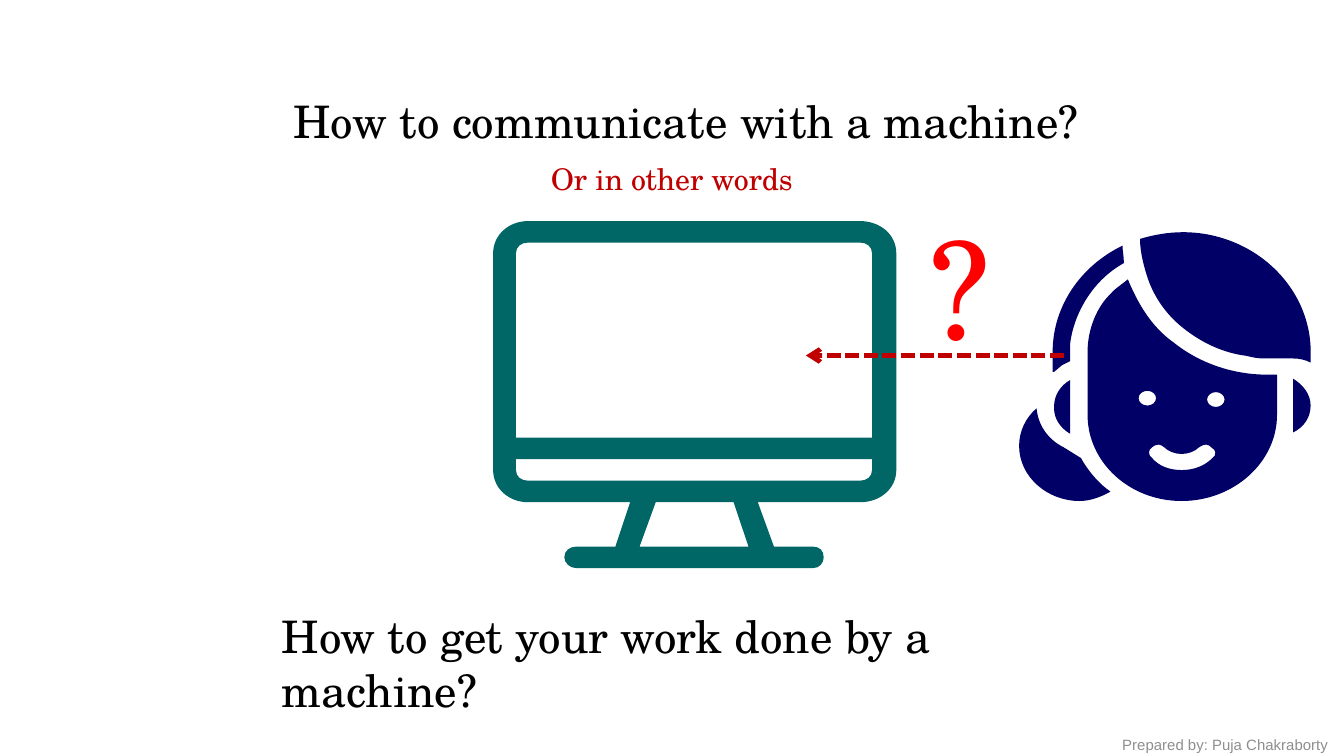
from lxml import etree
from pptx import Presentation
from pptx.dml.color import RGBColor
from pptx.enum.dml import MSO_LINE
from pptx.enum.shapes import MSO_CONNECTOR
from pptx.enum.text import MSO_AUTO_SIZE
from pptx.oxml.ns import qn
from pptx.util import Cm, Pt

STRAIGHT = MSO_CONNECTOR.STRAIGHT
DASH = MSO_LINE.SQUARE_DOT
GROW = MSO_AUTO_SIZE.SHAPE_TO_FIT_TEXT
SERIF, SANS = "TeX Gyre Schola", "Arial"
COLORS = {
    "text": "000000",
    "accent": "C00000",
    "question": "FF0000",
    "monitor": "006666",
    "girl": "000066",
    "credit": "8E8E8E",
}

# Each drawing has its own grid, which is stretched over its box.
# A contour is a start point, then lines (x, y) and cubic curves (six numbers).
MONITOR_GRID = (300, 258)
SCREEN = [(273, 16), (278, 16, 282, 19, 282, 24), (282, 161), (17, 161),
          (17, 24), (17, 19, 21, 16, 26, 16)]
STRIP = [(282, 177), (282, 185), (282, 190, 278, 193, 273, 193), (26, 193),
         (21, 193, 17, 190, 17, 185), (17, 177)]
LEG_GAP = [(179, 209), (190, 242), (109, 242), (121, 209)]
SILHOUETTE = [(26, 0), (12, 0, 0, 10, 0, 24), (0, 185),
              (0, 199, 12, 209, 26, 209), (102, 209), (91, 242), (62, 242),
              (57, 242, 53, 245, 53, 250), (53, 254, 57, 258, 62, 258),
              (238, 258), (243, 258, 246, 254, 246, 250),
              (246, 245, 243, 242, 238, 242), (209, 242), (197, 209),
              (273, 209), (288, 209, 300, 199, 300, 185), (300, 24),
              (300, 10, 288, 0, 273, 0)]

GIRL_GRID = (217, 200)
EAR_LEFT = [(38, 110), (31, 114, 26, 121, 26, 130), (26, 131),
            (26, 139, 31, 146, 38, 150)]
BUN = [(13, 131), (5, 138, 0, 148, 0, 159), (0, 182, 21, 200, 45, 200),
       (53, 200, 61, 197, 68, 193), (59, 187, 51, 177, 46, 168),
       (33, 160), (21, 154, 14, 143, 13, 131)]
FACE = [(81, 35), (79, 37, 70, 43, 69, 45), (58, 55, 51, 72, 51, 89),
        (51, 136), (51, 171, 82, 200, 121, 200),
        (160, 200, 192, 171, 192, 136), (192, 106), (185, 106),
        (160, 106, 135, 98, 115, 82), (98, 70, 88, 52, 81, 35)]
MOUTH = [(139, 158), (141, 158, 142, 159, 143, 160),
         (147, 162, 147, 166, 144, 168), (138, 174, 130, 177, 121, 177),
         (112, 177, 104, 174, 99, 168), (96, 166, 96, 162, 99, 160),
         (100, 159, 102, 158, 104, 158), (105, 158, 107, 159, 108, 160),
         (111, 163, 116, 165, 121, 165), (126, 165, 131, 163, 134, 160),
         (136, 159, 137, 158, 139, 158)]
EAR_RIGHT = [(204, 109), (204, 149), (212, 145, 217, 138, 217, 129),
             (217, 121, 212, 114, 204, 109)]
FRINGE = [(122, 0), (111, 0, 100, 2, 90, 5), (90, 15, 93, 26, 96, 35),
          (101, 49, 110, 62, 123, 72), (137, 83, 153, 90, 169, 92),
          (177, 94, 180, 94, 184, 94), (204, 94),
          (209, 94, 213, 95, 217, 97), (217, 89),
          (217, 40, 174, 0, 122, 0)]
SIDE_HAIR = [(77, 10), (46, 25, 25, 55, 25, 89), (25, 104), (26, 104),
             (28, 102, 30, 101, 32, 99), (38, 96), (38, 83),
             (41, 59, 56, 35, 78, 23), (78, 18, 77, 14, 77, 10)]


def ellipse(x, y, rx, ry):
    """Contour of four curves around a centre."""
    a, b = rx * 0.55, ry * 0.55
    return [(x, y - ry),
            (x + a, y - ry, x + rx, y - b, x + rx, y),
            (x + rx, y + b, x + a, y + ry, x, y + ry),
            (x - a, y + ry, x - rx, y + b, x - rx, y),
            (x - rx, y - b, x - a, y - ry, x, y - ry)]


def add_outline(shapes, box, grid, contours, color):
    left, top, width, height = box

    def place(segment):
        """Slide positions of all the points of a segment."""
        return [(round(left + x * width / grid[0]),
                 round(top + y * height / grid[1]))
                for x, y in zip(segment[::2], segment[1::2])]

    builder = None
    segments = []
    for contour in contours:
        start, *rest = [place(segment) for segment in contour]
        if builder is None:
            builder = shapes.build_freeform(*start[0])
        else:
            builder.move_to(*start[0])
        builder.add_line_segments([points[-1] for points in rest], close=True)
        segments += rest
    shape = builder.convert_to_shape()

    # Bend the segments that have control points
    lines = list(shape.element.iter(qn("a:lnTo")))
    for line, points in zip(lines, segments):
        if len(points) == 1:
            continue
        curve = etree.Element(qn("a:cubicBezTo"))
        for x, y in points:
            etree.SubElement(curve, qn("a:pt"),
                             x=str(x - shape.left), y=str(y - shape.top))
        line.getparent().replace(line, curve)

    shape.shadow.inherit = False
    shape.fill.solid()
    shape.fill.fore_color.rgb = RGBColor.from_string(COLORS[color])
    shape.line.fill.background()


def add_text(slide, box, text, size, color, font=SERIF):
    frame = slide.shapes.add_textbox(*box).text_frame
    frame.word_wrap = True
    frame.auto_size = GROW
    run = frame.paragraphs[0].add_run()
    run.text = text
    run.font.size = Pt(size)
    run.font.name = font
    run.font.color.rgb = RGBColor.from_string(COLORS[color])


def add_monitor(slide, box):
    add_outline(slide.shapes, box, MONITOR_GRID,
                [SCREEN, STRIP, LEG_GAP, SILHOUETTE], "monitor")


def add_girl(slide, box):
    eyes = [ellipse(x, y, 6.5, 5.5) for x, y in ((95.5, 123.5), (146.5, 124.5))]
    group = slide.shapes.add_group_shape()
    for contours in ([EAR_LEFT], [BUN], [*eyes, MOUTH, FACE],
                     [EAR_RIGHT], [FRINGE], [SIDE_HAIR]):
        add_outline(group.shapes, box, GIRL_GRID, contours, "girl")


def add_question(slide, box):
    """Dashed arrow pointing left, with a question mark above it."""
    left, top, width, height = box
    arrow_y = top + height
    arrow = slide.shapes.add_connector(
        STRAIGHT, left + width, arrow_y, left, arrow_y)
    arrow.line.color.rgb = RGBColor.from_string(COLORS["accent"])
    arrow.line.width = Pt(2.5)
    arrow.line.dash_style = DASH
    properties = arrow.element.spPr
    etree.SubElement(properties.find(qn("a:ln")), qn("a:tailEnd"), type="arrow")
    etree.SubElement(properties, qn("a:effectLst"))
    add_text(slide, (left + Cm(2.11), top, Cm(1.9), Cm(3.33)),
             "?", 72, "question")


def main():
    presentation = Presentation()
    presentation.slide_width, presentation.slide_height = Cm(25.4), Cm(14.29)
    slide = presentation.slides.add_slide(presentation.slide_layouts[6])

    # Monitor, credit and title
    add_monitor(slide, (Cm(9.32), Cm(4.18), Cm(7.62), Cm(6.56)))
    add_text(slide, (Cm(20.96), Cm(13.78), Cm(4.65), Cm(0.61)),
             "Prepared by: Puja Chakraborty", 8, "credit", SANS)
    add_text(slide, (Cm(5.3), Cm(1.65), Cm(15.44), Cm(1.27)),
             "How to communicate with a machine?", 24, "text")

    # Girl asking the machine
    add_girl(slide, (Cm(19.26), Cm(4.39), Cm(5.51), Cm(5.08)))
    add_question(slide, (Cm(15.23), Cm(3.76), Cm(4.88), Cm(2.96)))

    # Second wording of the question
    add_text(slide, (Cm(10.16), Cm(2.92), Cm(5.08), Cm(0.94)),
             "Or in other words", 16, "accent")
    add_text(slide, (Cm(5.08), Cm(11.38), Cm(16.31), Cm(1.27)),
             "How to get your work done by a machine?", 24, "text")
    presentation.save("out.pptx")


if __name__ == "__main__":
    main()
